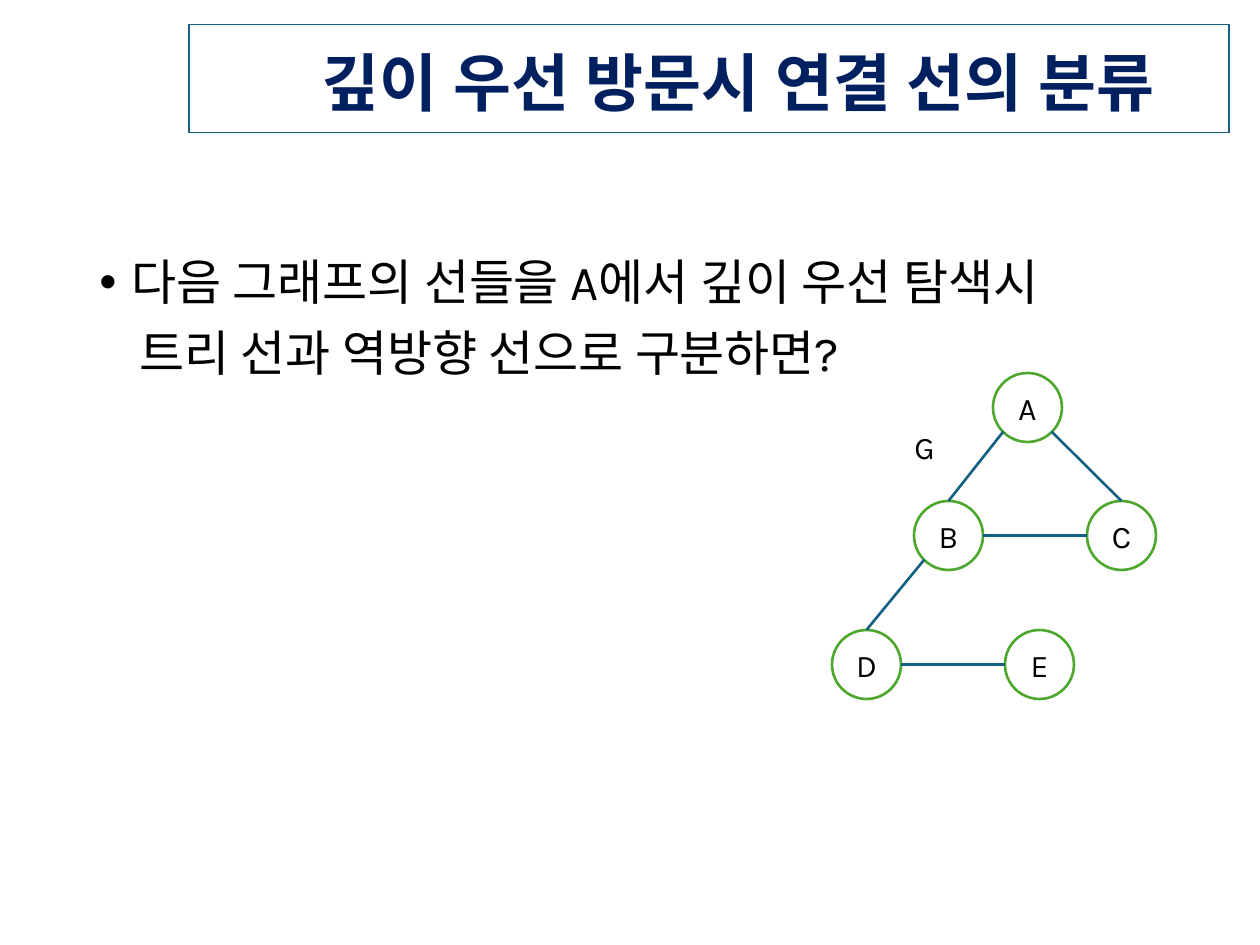
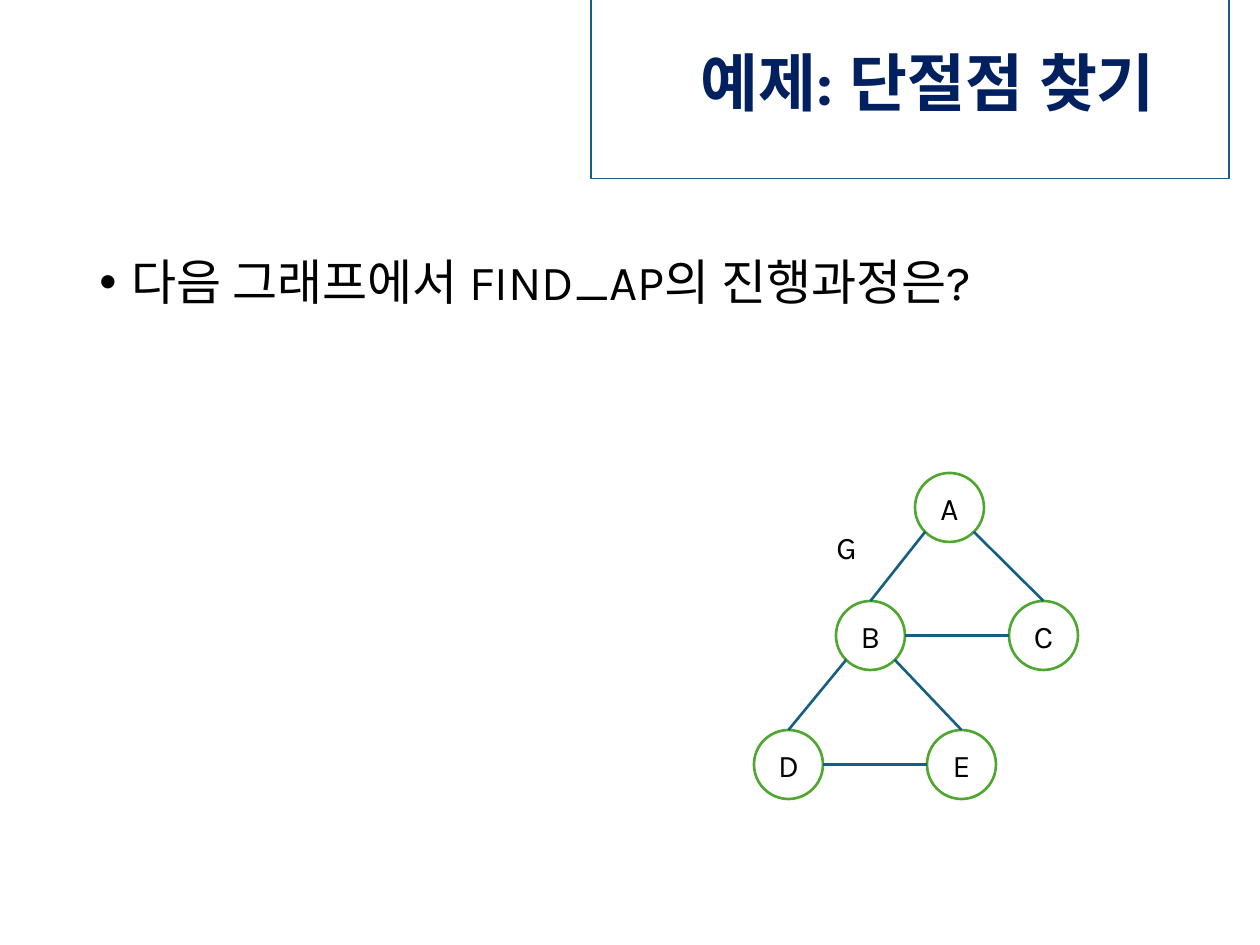
"""Build two slides on depth-first search edges and articulation points."""
from pptx import Presentation
from pptx.dml.color import RGBColor
from pptx.enum.shapes import MSO_CONNECTOR, MSO_SHAPE
from pptx.enum.text import MSO_ANCHOR, MSO_AUTO_SIZE, PP_ALIGN
from pptx.oxml.ns import qn
from pptx.util import Emu, Pt
from lxml.etree import SubElement

PX = 914400 // 126
FONT = "Karla"
COLORS = {"title": "002060", "text": "000000", "edge": "156082", "node": "4EA72E", "fill": "FFFFFF"}
SIZE = 69
NODES = {"A": (0, 0), "B": (-79, 128), "C": (94, 128), "D": (-161, 257), "E": (12, 257)}
SITES = {"top": (0.5, 0), "left": (0, 0.5), "right": (1, 0.5),
         "bottom left": (0.15, 0.85), "bottom right": (0.85, 0.85)}
EDGES = [("B", "top", "A", "bottom left"), ("C", "top", "A", "bottom right"),
         ("D", "top", "B", "bottom left"), ("E", "left", "D", "right"),
         ("B", "right", "C", "left")]
SLIDES = [
    {"title": "깊이 우선 방문시 연결 선의 분류", "title_left": 189,
     "body": ["다음 그래프의 선들을 A에서 깊이 우선 탐색시", "트리 선과 역방향 선으로 구분하면?"],
     "origin": (993, 373), "edges": EDGES},
    {"title": "예제: 단절점 찾기", "title_left": 591,
     "body": ["다음 그래프에서 FIND_AP의 진행과정은?"],
     "origin": (915, 473), "edges": EDGES + [("E", "top", "B", "bottom right")]},
]
TITLE_RIGHT = 1229


def px(n):
    return Emu(round(n * PX))


def box(*values):
    return [px(v) for v in values]


def color(name):
    return RGBColor.from_string(COLORS[name])


def style(p, size, name="text", bold=False):
    for r in p.runs:
        r.font.size = Pt(size)
        r.font.bold = bold
        r.font.name = FONT
        r.font.color.rgb = color(name)
        SubElement(r.font._element, qn("a:ea"), typeface=FONT)


def outline(shape, name, width):
    shape.line.color.rgb = color(name)
    shape.line.width = Pt(width)


def add_title(s, text, left):
    sp = s.shapes.title
    sp.left, sp.top, sp.width, sp.height = box(left, 37, TITLE_RIGHT - left, 83)
    outline(sp, "edge", 0.75)
    tf = sp.text_frame
    tf.text = text
    tf.word_wrap = False
    tf.auto_size = MSO_AUTO_SIZE.SHAPE_TO_FIT_TEXT
    tf.vertical_anchor = MSO_ANCHOR.MIDDLE
    tf.margin_left, tf.margin_top, tf.margin_right, tf.margin_bottom = box(74, 15, 74, 0)
    p = tf.paragraphs[0]
    p.alignment = PP_ALIGN.RIGHT
    p.line_spacing = 0.9
    style(p, 36, "title", True)


def add_body(s, lines):
    tf = s.shapes.add_textbox(*box(87, 252, 1173, 600)).text_frame
    tf.word_wrap = True
    for i, line in enumerate(lines):
        p = tf.add_paragraph() if i else tf.paragraphs[0]
        p.text = line
        p.line_spacing = 0.9
        pPr = p._p.get_or_add_pPr()
        if i:
            p.space_before = Pt(10)
            pPr.set("marL", str(px(40)))
        else:
            pPr.set("marL", str(px(32)))
            pPr.set("indent", str(-px(32)))
            SubElement(pPr, qn("a:buFont"), typeface="Arial")
            SubElement(pPr, qn("a:buChar"), char="•")
        style(p, 28)


def add_graph(s, origin, edges):
    x0, y0 = origin
    for name, (dx, dy) in NODES.items():
        sp = s.shapes.add_shape(MSO_SHAPE.OVAL, *box(x0 + dx, y0 + dy, SIZE, SIZE))
        sp.shadow.inherit = False
        sp.fill.solid()
        sp.fill.fore_color.rgb = color("fill")
        outline(sp, "node", 1.5)
        tf = sp.text_frame
        tf.text = name
        tf.vertical_anchor = MSO_ANCHOR.MIDDLE
        tf.paragraphs[0].alignment = PP_ALIGN.CENTER
        style(tf.paragraphs[0], 18)

    def point(node, site):
        return [o + d + SIZE * f for o, d, f in zip(origin, NODES[node], SITES[site])]

    for start, start_site, end, end_site in edges:
        ends = point(start, start_site) + point(end, end_site)
        line = s.shapes.add_connector(MSO_CONNECTOR.STRAIGHT, *box(*ends))
        outline(line, "edge", 1.5)
        SubElement(line._element.spPr, qn("a:effectLst"))

    tf = s.shapes.add_textbox(*box(x0 - 91, y0 + 49, 48, 50)).text_frame
    tf.text = "G"
    tf.word_wrap = False
    tf.auto_size = MSO_AUTO_SIZE.SHAPE_TO_FIT_TEXT
    style(tf.paragraphs[0], 18)


def main():
    prs = Presentation()
    prs.slide_width, prs.slide_height = box(1260, 945)
    for content in SLIDES:
        s = prs.slides.add_slide(prs.slide_layouts[5])
        add_title(s, content["title"], content["title_left"])
        add_body(s, content["body"])
        add_graph(s, content["origin"], content["edges"])
    prs.save("out.pptx")


if __name__ == "__main__":
    main()
